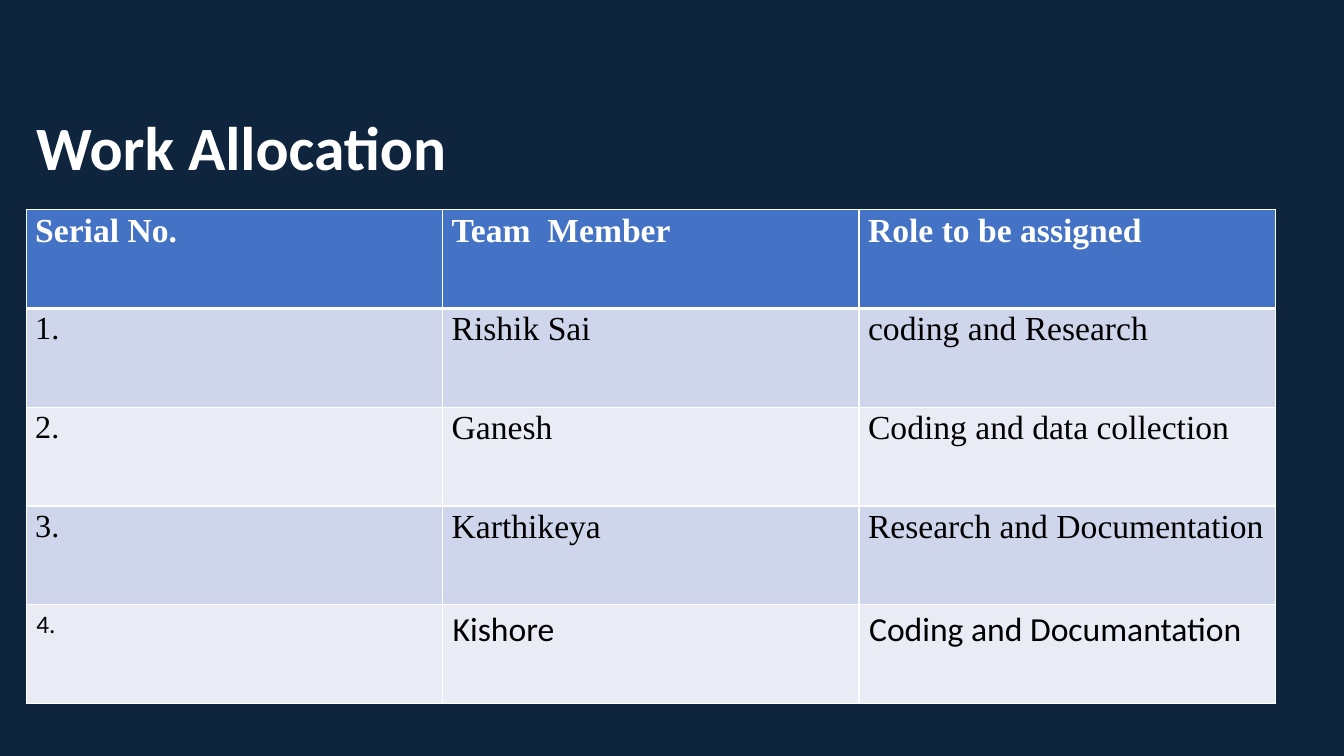
from dataclasses import dataclass

from lxml.etree import SubElement
from pptx import Presentation
from pptx.dml.color import RGBColor
from pptx.enum.text import MSO_ANCHOR, PP_ALIGN
from pptx.oxml.ns import qn
from pptx.util import Inches, Pt


@dataclass(frozen=True)
class Theme:
    """Colours, fonts and type sizes of the slide."""
    background: str = "0F253E"
    light: str = "FFFFFF"
    ink: str = "000000"
    header: str = "4472C4"
    bands: tuple = ("CFD5EA", "E9EBF5")
    sans: str = "Calibri"
    serif: str = "Times New Roman"
    title_size: int = 44
    body_size: int = 24
    serial_size: int = 23
    small_size: int = 18


HEADINGS = ("Serial No.", "Team  Member", "Role to be assigned")
ALLOCATIONS = (
    ("1.", "Rishik Sai", "coding and Research"),
    ("2.", "Ganesh", "Coding and data collection"),
    ("3.", "Karthikeya", "Research and Documentation"),
    ("4.", "Kishore", "Coding and Documantation"),
)


def write(frame, text, *, font, size, color, bold=False, align=PP_ALIGN.LEFT,
          line_spacing=1.0, space_after=0):
    """Put one formatted paragraph into a text frame."""
    paragraph = frame.paragraphs[0]
    paragraph.alignment = align
    paragraph.line_spacing = line_spacing
    paragraph.space_after = Pt(space_after)
    run = paragraph.add_run()
    run.text = text
    run.font.name = font
    run.font.size = Pt(size)
    run.font.bold = bold
    run.font.color.rgb = RGBColor.from_string(color)


class SlideBuilder:
    """Holds the theme and the current slide."""

    def __init__(self, slide, theme):
        """Store the slide and paint its background."""
        self.slide = slide
        self.theme = theme
        fill = slide.background.fill
        fill.solid()
        fill.fore_color.rgb = RGBColor.from_string(theme.background)

    def title(self, text, left, top, width, height):
        """Add the slide title."""
        heading = self.slide.shapes.add_textbox(
            Inches(left), Inches(top), Inches(width), Inches(height))
        frame = heading.text_frame
        frame.word_wrap = True
        frame.vertical_anchor = MSO_ANCHOR.MIDDLE
        write(frame, text, font=self.theme.sans, size=self.theme.title_size,
              color=self.theme.light, bold=True, line_spacing=0.9)

    def table(self, headings, records, left, top, width, row_height):
        """Add the allocation table with a header and banded rows."""
        rows = (headings, *records)
        allocation = self.slide.shapes.add_table(
            len(rows), len(headings), Inches(left), Inches(top),
            Inches(width), Inches(row_height * len(rows))).table
        for row_index, row in enumerate(rows):
            for column_index, text in enumerate(row):
                cell = allocation.cell(row_index, column_index)
                self.style_cell(cell, row_index)
                write(cell.text_frame, text, **self.cell_format(
                    row_index, column_index, row_index == len(records)))

    def cell_format(self, row, column, is_last):
        """Return the text format for a table position."""
        theme = self.theme
        if is_last:
            return dict(font=theme.sans, color=theme.ink,
                        size=theme.body_size if column else theme.small_size)
        style = dict(font=theme.serif, size=theme.body_size, color=theme.ink,
                     line_spacing=1.07, space_after=8)
        if row == 0:
            style.update(color=theme.light, bold=True)
        elif column == 0:
            style.update(size=theme.serial_size)
        else:
            style.update(align=PP_ALIGN.JUSTIFY)
        return style

    def style_cell(self, cell, row):
        """Set the borders, fill and margins of a cell."""
        theme = self.theme
        thick_side = {0: "lnB", 1: "lnT"}.get(row)
        properties = cell._tc.get_or_add_tcPr()
        for side in ("lnL", "lnR", "lnT", "lnB"):
            weight = Pt(3 if side == thick_side else 1)
            border = SubElement(properties, qn(f"a:{side}"), w=str(weight))
            paint = SubElement(border, qn("a:solidFill"))
            SubElement(paint, qn("a:srgbClr"), val=theme.light)
        cell.fill.solid()
        cell.fill.fore_color.rgb = RGBColor.from_string(
            theme.bands[(row - 1) % 2] if row else theme.header)
        if row < len(ALLOCATIONS):
            cell.margin_left = cell.margin_right = Inches(0.09)
            cell.margin_top = cell.margin_bottom = Inches(0)


def main():
    """Build and save the work allocation slide."""
    deck = Presentation()
    deck.slide_width, deck.slide_height = Inches(13.33), Inches(7.5)
    builder = SlideBuilder(deck.slides.add_slide(deck.slide_layouts[6]), Theme())
    builder.title("Work Allocation", 0.26, 0.77, 5.6, 1.45)
    builder.table(HEADINGS, ALLOCATIONS, 0.26, 2.08, 12.39, 0.98)
    deck.save("out.pptx")


if __name__ == "__main__":
    main()
